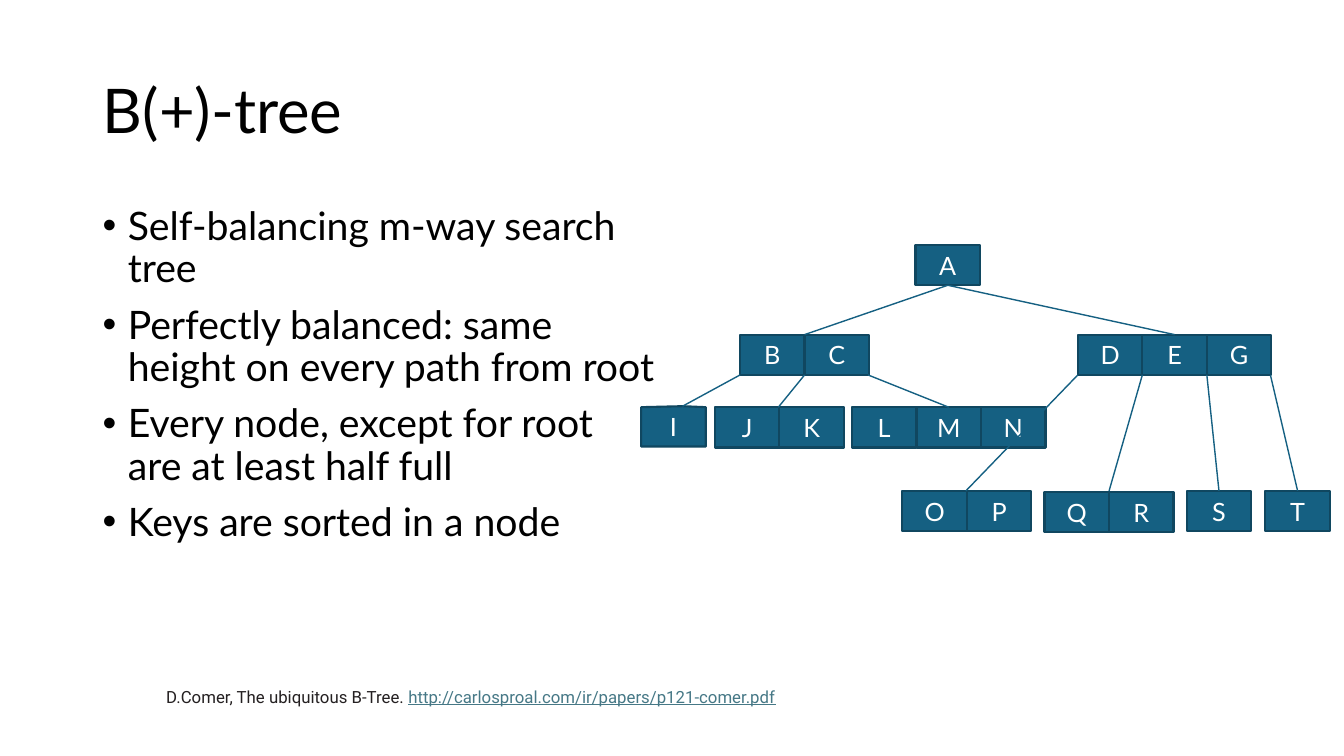
from lxml import etree
from pptx import Presentation
from pptx.dml.color import RGBColor
from pptx.enum.shapes import MSO_CONNECTOR, MSO_SHAPE
from pptx.enum.text import MSO_ANCHOR, MSO_AUTO_SIZE, PP_ALIGN
from pptx.oxml.ns import qn
from pptx.util import Inches, Pt

RECTANGLE = MSO_SHAPE.RECTANGLE
STRAIGHT = MSO_CONNECTOR.STRAIGHT
MIDDLE = MSO_ANCHOR.MIDDLE
NO_AUTOFIT = MSO_AUTO_SIZE.NONE
LEFT, CENTER = PP_ALIGN.LEFT, PP_ALIGN.CENTER
TOP, BOTTOM = 0, 2

BLACK = RGBColor(0x00, 0x00, 0x00)
WHITE = RGBColor(0xFF, 0xFF, 0xFF)
TEAL = RGBColor(0x15, 0x60, 0x82)
DARK_TEAL = RGBColor(0x10, 0x47, 0x60)
INK = RGBColor(0x24, 0x20, 0x21)
LINK = RGBColor(0x46, 0x78, 0x86)

KEY_WIDTH, KEY_HEIGHT = 0.64, 0.4

# Each node: its keys, left and top
NODES = [
    ("A", 9.08, 2.43),
    ("LMN", 8.45, 4.04),
    ("DEG", 10.69, 3.32),
    ("BC", 7.34, 3.32),
    ("JK", 7.09, 4.04),
    ("QR", 10.36, 4.88),
    ("OP", 8.95, 4.87),
    ("S", 11.77, 4.87),
    ("T", 12.55, 4.87),
]

# Each edge: start and end point, keys joined at the start and at the end
EDGES = [
    ((9.4, 2.83), (7.98, 3.32), "A", None),
    ((9.4, 2.83), (11.65, 3.32), "A", "E"),
    ((7.98, 3.72), (7.72, 4.04), None, None),
    ((7.34, 3.72), (6.77, 4.03), None, None),
    ((8.61, 3.72), (9.4, 4.04), None, "M"),
    ((11.33, 3.72), (11, 4.87), None, None),
    ((11.97, 3.72), (12.09, 4.87), None, "S"),
    ((12.6, 3.72), (12.87, 4.87), None, "T"),
    ((10.69, 3.72), (9.58, 4.87), None, None),
]

POINTS = [
    "Self-balancing m-way search tree",
    "Perfectly balanced: same height on every path from root",
    "Every node, except for root are at least half full",
    "Keys are sorted in a node",
]


def set_font(font, name, size, color):
    font.name = name
    font.size = Pt(size)
    font.color.rgb = color


def add_title(slide, text):
    title = slide.shapes.title
    title.left, title.top = Inches(0.92), Inches(0.4)
    title.width, title.height = Inches(11.5), Inches(1.45)
    frame = title.text_frame
    frame.text = text
    frame.auto_size = NO_AUTOFIT
    frame.vertical_anchor = MIDDLE
    paragraph = frame.paragraphs[0]
    paragraph.alignment = LEFT
    paragraph.line_spacing = 0.9
    set_font(paragraph.font, "Lato", 44, BLACK)


def add_text_box(slide, left, top, width, height):
    box = slide.shapes.add_textbox(
        Inches(left), Inches(top), Inches(width), Inches(height))
    box.text_frame.word_wrap = True
    return box.text_frame


def add_bullets(slide, points):
    frame = add_text_box(slide, 0.92, 2, 5.67, 4.76)
    for index, point in enumerate(points):
        paragraph = frame.add_paragraph() if index else frame.paragraphs[0]
        paragraph.text = point
        paragraph.line_spacing = 0.9
        paragraph.space_before = Pt(10 if index else 0)
        properties = paragraph._p.get_or_add_pPr()
        properties.set("marL", str(Inches(0.25)))
        properties.set("indent", str(Inches(-0.25)))
        bullet_font = etree.SubElement(properties, qn("a:buFont"))
        bullet_font.set("typeface", "Arial")
        etree.SubElement(properties, qn("a:buChar")).set("char", "•")
        set_font(paragraph.font, "Lato", 28, BLACK)


def format_key(shape, key):
    shape.shadow.inherit = False
    shape.fill.solid()
    shape.fill.fore_color.rgb = TEAL
    shape.line.color.rgb = DARK_TEAL
    shape.line.width = Pt(1.5)
    frame = shape.text_frame
    frame.text = key
    frame.vertical_anchor = MIDDLE
    paragraph = frame.paragraphs[0]
    paragraph.alignment = CENTER
    set_font(paragraph.font, "Lato", 18, WHITE)


def add_node(slide, keys, left, top):
    """Place the keys of a node side by side and return their shapes by key."""
    shapes = {}
    for index, key in enumerate(keys):
        shapes[key] = slide.shapes.add_shape(
            RECTANGLE, Inches(left + index * KEY_WIDTH), Inches(top),
            Inches(KEY_WIDTH), Inches(KEY_HEIGHT))
        format_key(shapes[key], key)
    return shapes


def add_peaked_key(slide, key):
    outline = [(6.36, 4.04), (6.77, 4.03), (7, 4.04), (7, 4.43), (6.36, 4.43)]
    corners = [(Inches(x), Inches(y)) for x, y in outline]
    builder = slide.shapes.build_freeform(*corners[0])
    builder.add_line_segments(corners[1:], close=True)
    format_key(builder.convert_to_shape(), key)


def add_edge(slide, start, end, parent, child):
    edge = slide.shapes.add_connector(
        STRAIGHT, *(Inches(value) for value in start + end))
    edge.line.color.rgb = TEAL
    edge.line.width = Pt(1)
    etree.SubElement(edge._element.spPr, qn("a:effectLst"))
    if parent is not None:
        edge.begin_connect(parent, BOTTOM)
    if child is not None:
        edge.end_connect(child, TOP)


def add_reference(slide, citation, address):
    frame = add_text_box(slide, 1.55, 6.76, 11.68, 0.3)
    paragraph = frame.paragraphs[0]
    for text, color in ((citation, INK), (address, LINK)):
        run = paragraph.add_run()
        run.text = text
        set_font(run.font, "Roboto", 12, color)
    run.font.underline = True


def main():
    presentation = Presentation()
    presentation.slide_width = Inches(13.33)
    presentation.slide_height = Inches(7.5)
    slide = presentation.slides.add_slide(presentation.slide_layouts[5])

    # Title and properties of the tree
    add_title(slide, "B(+)-tree")
    add_bullets(slide, POINTS)

    # Tree diagram
    key_shapes = {}
    for keys, left, top in NODES:
        key_shapes.update(add_node(slide, keys, left, top))
    add_peaked_key(slide, "I")
    for start, end, parent, child in EDGES:
        add_edge(slide, start, end,
                 key_shapes.get(parent), key_shapes.get(child))

    # Reference
    add_reference(slide, "D.Comer, The ubiquitous B-Tree. ",
                  "http://carlosproal.com/ir/papers/p121-comer.pdf")

    presentation.save("out.pptx")


if __name__ == "__main__":
    main()
